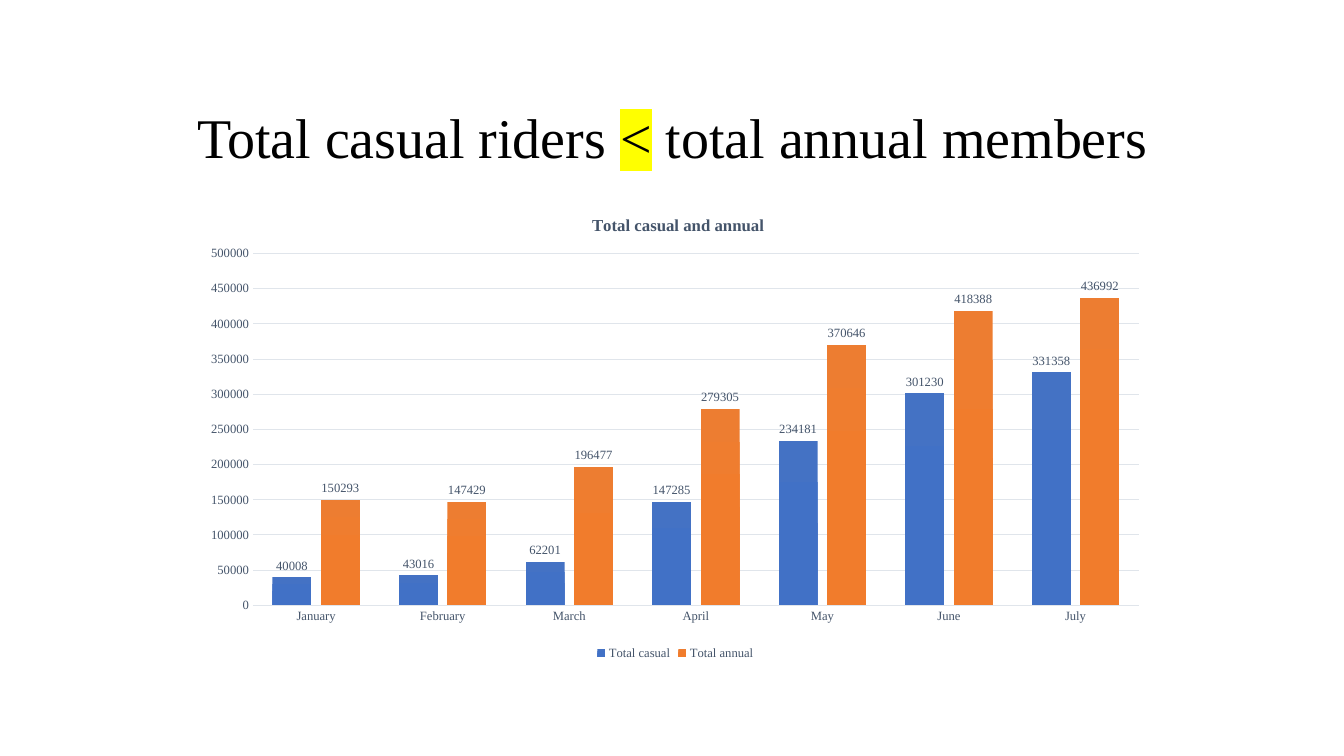
import copy

from pptx import Presentation
from pptx import util as u
from pptx.chart.data import CategoryChartData
from pptx.dml.color import RGBColor
from pptx.enum import chart as ch, text
from pptx.oxml import parse_xml
from pptx.oxml.ns import nsdecls, qn

# Content
HEADLINE = ["Total casual riders ", "<", " total annual members"]
CHART_TITLE = "Total casual and annual"
MONTHS = ["January", "February", "March", "April", "May", "June", "July"]
RIDERS = {
    "Total casual": [40008, 43016, 62201, 147285, 234181, 301230, 331358],
    "Total annual": [150293, 147429, 196477, 279305, 370646, 418388, 436992],
}

THEME = {
    "font": "Times New Roman",
    "black": "000000",
    "slate": "44546A",
    "grid": "E0E5EB",
    "highlight": "FFFF00",
    "bars": [("4472C4", "4171C6", "4070C5"), ("ED7D31", "F17C2C", "F07B2C")],
    "headline": 40,
    "chart_title": 12,
    "label": 9,
}

# Places in points: left, top, width, height
SLIDE = (960, 540)
HEADLINE_BOX = (88.5, 66.2, 783.4, 55.4)
CHART_BOX = (137.5, 139, 689.8, 335.5)
PLOT_BOX = (43.2, 42.1, 632.8, 251.4)  # inside the chart
TITLE_SPOT = (283.2, 12.5)  # inside the chart


def rgb(name):
    return RGBColor.from_string(THEME.get(name, name))


def style(font, size, color, bold=False):
    font.name, font.size, font.bold = THEME["font"], u.Pt(THEME[size]), bold
    font.color.rgb = rgb(color)


def hairline(line):
    line.color.rgb = rgb("grid")
    line.width = u.Pt(0.75)


def manual_layout(parent, box, target=""):
    """Fix a chart part at a box given in points within the chart."""
    for old in parent.findall(qn("c:layout")):
        parent.remove(old)
    keys = ("x", "y", "w", "h")[:len(box)]
    modes = "".join(f'<c:{k}Mode val="edge"/>' for k in "xy")
    sizes = "".join(f'<c:{k} val="{v / CHART_BOX[2 + i % 2]:.4f}"/>'
                    for i, (k, v) in enumerate(zip(keys, box)))
    return parse_xml(f'<c:layout {nsdecls("c")}><c:manualLayout>{target}{modes}{sizes}'
                     '</c:manualLayout></c:layout>')


def fill_bars(series, colors):
    """Vertical gradient with three even stops."""
    fill = series.format.fill
    fill.gradient()
    fill.gradient_angle = 270
    stops = series._element.find(".//" + qn("a:gsLst"))
    stops.insert(1, copy.deepcopy(stops[0]))
    for i, (stop, color) in enumerate(zip(fill.gradient_stops, colors)):
        stop.position = i / 2
        stop.color.rgb = rgb(color)


def add_headline(slide):
    headline = slide.shapes.title
    headline.left, headline.top, headline.width, headline.height = map(u.Pt, HEADLINE_BOX)
    frame = headline.text_frame
    frame.word_wrap = True
    frame.auto_size = text.MSO_AUTO_SIZE.SHAPE_TO_FIT_TEXT
    frame.vertical_anchor = text.MSO_ANCHOR.TOP
    line = frame.paragraphs[0]
    line.alignment = text.PP_ALIGN.CENTER
    line.line_spacing = 1.07
    for words in HEADLINE:
        run = line.add_run()
        run.text = words
        style(run.font, "headline", "black")
        if words == "<":
            mark = parse_xml(f'<a:highlight {nsdecls("a")}>'
                             f'<a:srgbClr val="{THEME["highlight"]}"/></a:highlight>')
            run.font._element.find(qn("a:latin")).addprevious(mark)


def add_riders_chart(slide):
    data = CategoryChartData()
    data.categories = MONTHS
    for name, values in RIDERS.items():
        data.add_series(name, values)
    chart = slide.shapes.add_chart(ch.XL_CHART_TYPE.COLUMN_CLUSTERED,
                                   *map(u.Pt, CHART_BOX), data).chart
    style(chart.font, "label", "slate")

    # Title
    chart.has_title = True
    title = chart.chart_title
    title.text_frame.text = CHART_TITLE
    style(title.text_frame.paragraphs[0].runs[0].font, "chart_title", "slate", bold=True)
    title.include_in_layout = False
    layout = manual_layout(title._element, TITLE_SPOT)
    title._element.find(qn("c:tx")).addnext(layout)

    # Legend
    chart.has_legend = True
    chart.legend.position = ch.XL_LEGEND_POSITION.BOTTOM
    chart.legend.include_in_layout = False
    style(chart.legend.font, "label", "slate")

    # Axes
    months, counts = chart.category_axis, chart.value_axis
    for axis in (months, counts):
        axis.major_tick_mark = axis.minor_tick_mark = ch.XL_TICK_MARK.NONE
        style(axis.tick_labels.font, "label", "slate")
    hairline(months.format.line)
    counts.format.line.fill.background()
    counts.minimum_scale, counts.maximum_scale, counts.major_unit = 0, 500000, 50000
    hairline(counts.major_gridlines.format.line)

    # Columns
    plot = chart.plots[0]
    plot.gap_width, plot.overlap, plot.vary_by_categories = 100, -24, False
    for series, colors in zip(plot.series, THEME["bars"]):
        fill_bars(series, colors)
        labels = series.data_labels
        labels.show_value = True
        labels.position = ch.XL_LABEL_POSITION.OUTSIDE_END
        style(labels.font, "label", "slate")
    plot_area = chart._chartSpace.chart.plotArea
    plot_area.insert(0, manual_layout(plot_area, PLOT_BOX, '<c:layoutTarget val="inner"/>'))


def main():
    deck = Presentation()
    deck.slide_width, deck.slide_height = map(u.Pt, SLIDE)
    slide = deck.slides.add_slide(deck.slide_layouts[5])
    add_headline(slide)
    add_riders_chart(slide)
    deck.save("out.pptx")


if __name__ == "__main__":
    main()
